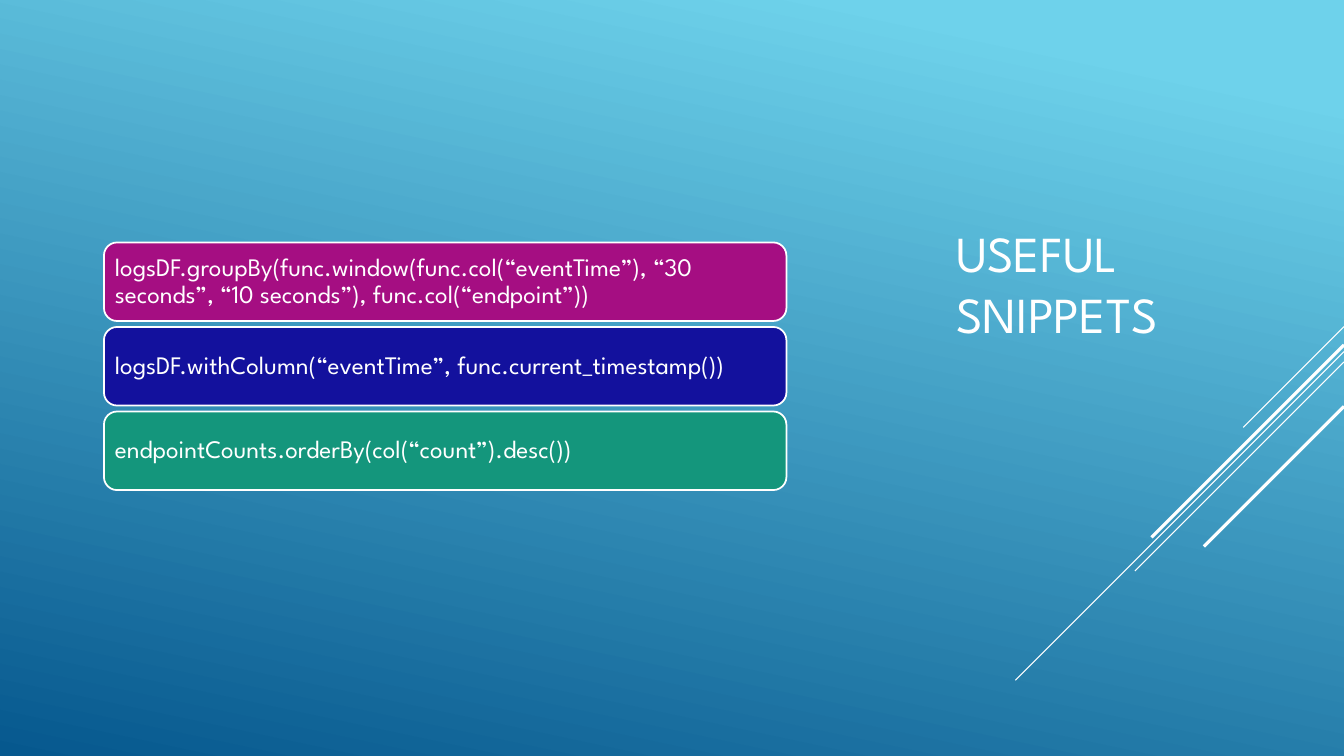
"""Build the "Useful snippets" slide with three code cards and diagonal accent lines."""
from dataclasses import dataclass

import pptx
import pptx.dml.color
import pptx.enum.shapes
import pptx.enum.text
import pptx.oxml.ns
import pptx.shapes.base
import pptx.slide
import pptx.util
from pptx.util import Cm

COLORS = {
    "white": "FFFFFF",
    "sky": "6ED2EB",
    "ocean": "06588E",
    "magenta": "A50E82",
    "indigo": "13119D",
    "green": "14967C",
}
FONT = "League Spartan"
SLIDE_WIDTH, SLIDE_HEIGHT = 33.87, 19.05
CARD_LEFT, CARD_TOP, CARD_WIDTH, CARD_HEIGHT = 2.62, 6.11, 17.2, 1.98
CARD_PITCH = 2.13
CARD_INSET = 0.18


@dataclass(frozen=True)
class AccentLine:
    top: float
    run: float
    weight: float


@dataclass(frozen=True)
class SnippetCard:
    code: str
    color: str


ACCENT_LINES = [
    AccentLine(8.23, 2.54, 0.75),
    AccentLine(8.86, 8.28, 0.75),
    AccentLine(9.12, 5.27, 0.75),
    AccentLine(8.69, 4.85, 2.25),
    AccentLine(10.24, 3.53, 2.25),
]
SNIPPET_CARDS = [
    SnippetCard(
        "logsDF.groupBy(func.window(func.col(“eventTime”), “30 seconds”, “10 seconds”), func.col(“endpoint”))",
        "magenta",
    ),
    SnippetCard("logsDF.withColumn(“eventTime”, func.current_timestamp())", "indigo"),
    SnippetCard("endpointCounts.orderBy(col(“count”).desc())", "green"),
]


def rgb(name: str) -> pptx.dml.color.RGBColor:
    return pptx.dml.color.RGBColor.from_string(COLORS[name])


def paint_background(slide: pptx.slide.Slide) -> None:
    fill = slide.background.fill
    fill.gradient()
    fill.gradient_angle = 360 - 102
    for stop, (position, color) in zip(fill.gradient_stops, [(0.1, "sky"), (1, "ocean")]):
        stop.position = position
        stop.color.rgb = rgb(color)


def write_text(
    shape: pptx.shapes.base.BaseShape,
    text: str,
    *,
    size: float,
    color: str = "white",
    line_spacing: float = 1.0,
    inset_x: float = 0.25,
    inset_y: float = 0.13,
) -> None:
    frame = shape.text_frame
    frame.word_wrap = True
    frame.vertical_anchor = pptx.enum.text.MSO_ANCHOR.MIDDLE
    frame.margin_left = frame.margin_right = Cm(inset_x)
    frame.margin_top = frame.margin_bottom = Cm(inset_y)
    paragraph = frame.paragraphs[0]
    paragraph.alignment = pptx.enum.text.PP_ALIGN.LEFT
    paragraph.line_spacing = line_spacing
    run = paragraph.add_run()
    run.text = text
    run.font.name = FONT
    run.font.size = pptx.util.Pt(size)
    run.font.color.rgb = rgb(color)


def draw_accent_line(slide: pptx.slide.Slide, accent: AccentLine) -> None:
    connector = slide.shapes.add_connector(
        pptx.enum.shapes.MSO_CONNECTOR.STRAIGHT,
        Cm(SLIDE_WIDTH),
        Cm(accent.top),
        Cm(SLIDE_WIDTH - accent.run),
        Cm(accent.top + accent.run),
    )
    connector.line.color.rgb = rgb("white")
    connector.line.width = pptx.util.Pt(accent.weight)
    properties = connector._element.spPr
    properties.append(properties.makeelement(pptx.oxml.ns.qn("a:effectLst"), {}))


def draw_card(slide: pptx.slide.Slide, card: SnippetCard, top: float) -> None:
    shape = slide.shapes.add_shape(
        pptx.enum.shapes.MSO_SHAPE.ROUNDED_RECTANGLE,
        Cm(CARD_LEFT),
        Cm(top),
        Cm(CARD_WIDTH),
        Cm(CARD_HEIGHT),
    )
    shape.shadow.inherit = False
    shape.fill.solid()
    shape.fill.fore_color.rgb = rgb(card.color)
    shape.line.color.rgb = rgb("white")
    shape.line.width = pptx.util.Pt(1.25)
    write_text(shape, card.code, size=18, line_spacing=0.9, inset_x=CARD_INSET, inset_y=CARD_INSET)


def main() -> None:
    presentation = pptx.Presentation()
    presentation.slide_width = Cm(SLIDE_WIDTH)
    presentation.slide_height = Cm(SLIDE_HEIGHT)
    slide = presentation.slides.add_slide(presentation.slide_layouts[6])
    paint_background(slide)
    for accent in ACCENT_LINES:
        draw_accent_line(slide, accent)
    title = slide.shapes.add_textbox(Cm(23.85), Cm(2.62), Cm(8.46), Cm(9.02))
    write_text(title, "USEFUL SNIPPETS", size=36)
    for index, card in enumerate(SNIPPET_CARDS):
        draw_card(slide, card, CARD_TOP + index * CARD_PITCH)
    presentation.save("out.pptx")


if __name__ == "__main__":
    main()
